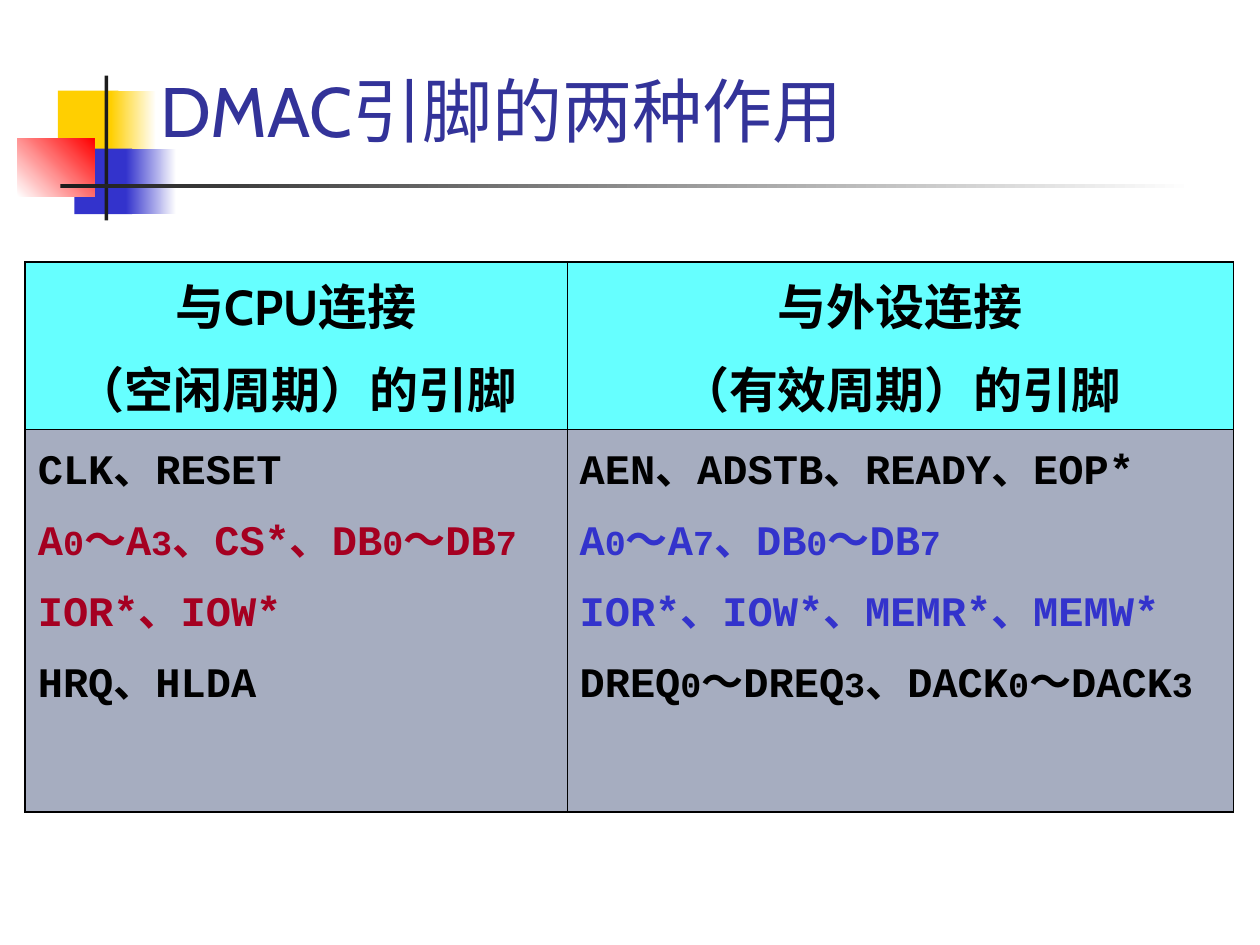
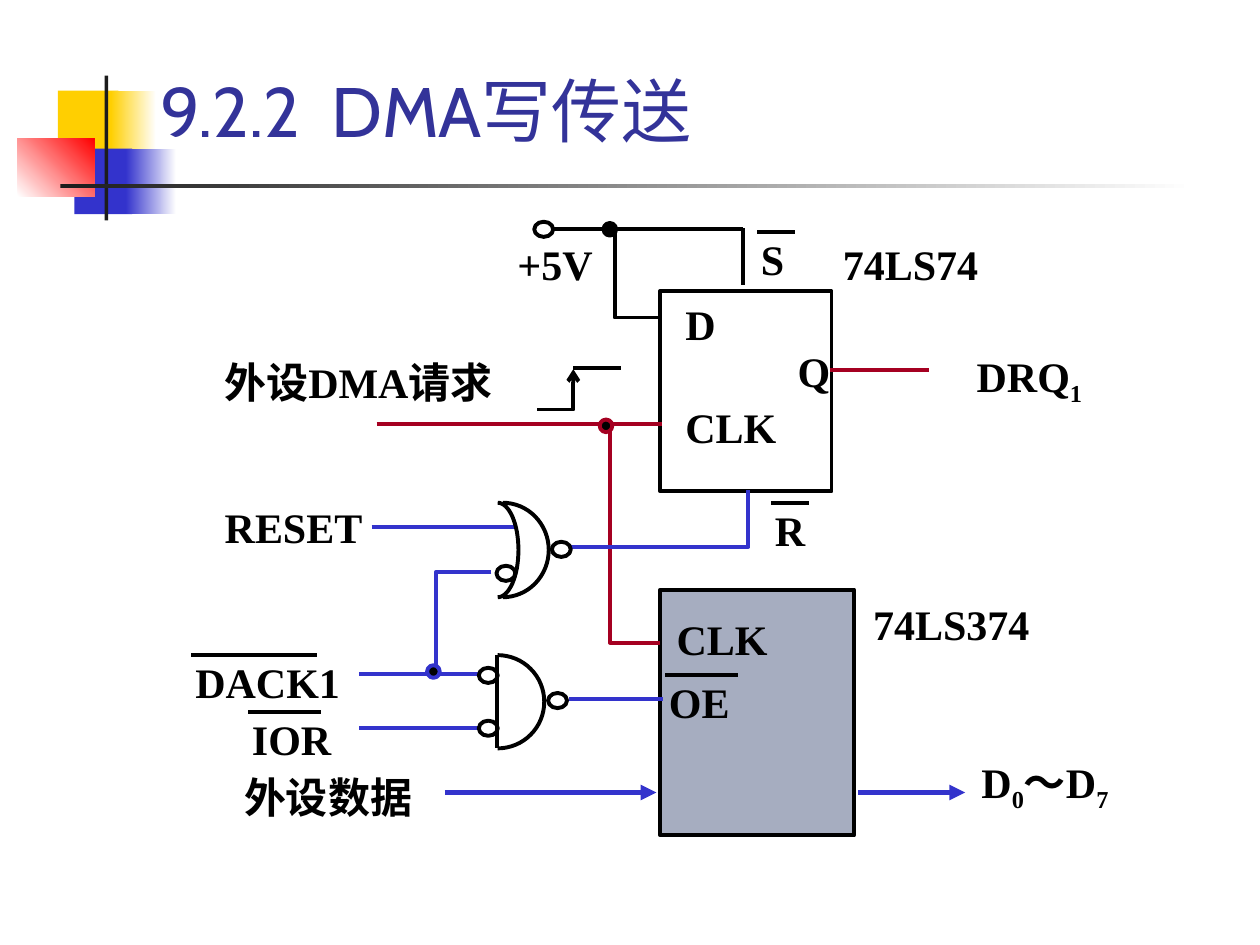
import math

import lxml.etree
import pptx
import pptx.dml.color
import pptx.enum.shapes
import pptx.enum.text
import pptx.oxml.ns
import pptx.util

RGB = pptx.dml.color.RGBColor
SHAPE = pptx.enum.shapes.MSO_SHAPE
ALIGN = pptx.enum.text.PP_ALIGN
ANCHOR = pptx.enum.text.MSO_ANCHOR

BLACK = RGB(0, 0, 0)
WHITE = RGB(255, 255, 255)
CHARCOAL = RGB(0x1C, 0x1C, 0x1C)
YELLOW = RGB(0xFF, 0xCF, 0x01)
BRIGHT_RED = RGB(0xFF, 0, 0)
BLUE = RGB(0x33, 0x33, 0xCC)
CRIMSON = RGB(0xA5, 0x00, 0x21)
TITLE_BLUE = RGB(0x33, 0x33, 0x99)
CYAN = RGB(0x66, 0xFF, 0xFF)
GREY_BLUE = RGB(0xA6, 0xAD, 0xC0)

TITLE_FONT = "Cabin"
CODE_FONT = "Courier New"
DIAGRAM_FONT = "Times New Roman"

# The slide is a grid of 100 columns by 75 rows of square cells
COLUMNS, ROWS = 100, 75
CELL = pptx.util.Inches(0.1)
WIRE_WIDTH = 2.25
BUBBLE_SIZE = (1.5, 1.2)
DOT_SIZE = (1, 1)


def grid(*cells):
    return [round(cell * CELL) for cell in cells]


def qn(tag):
    return pptx.oxml.ns.qn(tag)


# ---- Text ----
def write_text(frame, paragraphs, font, size, color=BLACK, bold=True, align=ALIGN.LEFT,
               gap=0, index_size=None, index_baseline=None):
    """Write paragraphs, each a text or (text, color); "_" makes the next character an index."""
    for number, entry in enumerate(paragraphs):
        text, text_color = entry if isinstance(entry, tuple) else (entry, color)
        paragraph = frame.paragraphs[0] if number == 0 else frame.add_paragraph()
        paragraph.alignment = align
        if number:
            paragraph.space_before = pptx.util.Pt(gap)

        first, *indexed = text.split("_")
        pieces = [(first, False)]
        for part in indexed:
            pieces += [(part[0], True), (part[1:], False)]
        for piece, is_index in pieces:
            if not piece:
                continue
            run = paragraph.add_run()
            run.text = piece
            run.font.name = font
            run.font.size = pptx.util.Pt(index_size if is_index and index_size else size)
            run.font.bold = bold
            run.font.color.rgb = text_color
            if is_index and index_baseline:
                run.font._element.set("baseline", str(index_baseline * 1000))


def add_label(slide, left, top, width, height, *paragraphs, align=ALIGN.LEFT, gap=0):
    frame = slide.shapes.add_textbox(*grid(left, top, width, height)).text_frame
    frame.word_wrap = True
    frame.margin_left = frame.margin_right = pptx.util.Inches(0.01)
    frame.margin_top = frame.margin_bottom = pptx.util.Inches(0.01)
    write_text(frame, paragraphs, DIAGRAM_FONT, 24, align=align, gap=gap, index_baseline=-25)


def add_active_low_label(slide, left, top, width, height, text, bar_length):
    add_label(slide, left, top, width, height, text)
    add_wire(slide, [(left - 0.2, top), (left - 0.2 + bar_length, top)])


# ---- Shapes and wires ----
def add_block(slide, left, top, width, height, kind=SHAPE.RECTANGLE, fill=None,
              fade=None, angle=0, outline=None):
    block = slide.shapes.add_shape(kind, *grid(left, top, width, height))
    block.shadow.inherit = False
    if fade:
        block.fill.gradient()
        block.fill.gradient_angle = angle
        for stop, color in zip(block.fill.gradient_stops, fade):
            stop.color.rgb = color
    elif fill is not None:
        block.fill.solid()
        block.fill.fore_color.rgb = fill
    else:
        block.fill.background()
    if outline is None:
        block.line.fill.background()
    else:
        block.line.color.rgb = outline
        block.line.width = pptx.util.Pt(WIRE_WIDTH)


def add_wire(slide, points, color=BLACK, width=WIRE_WIDTH, start=None, end=None):
    """Draw a straight connector for two points, an open outline for more."""
    corners = [grid(*point) for point in points]
    if len(corners) == 2:
        wire = slide.shapes.add_connector(
            pptx.enum.shapes.MSO_CONNECTOR.STRAIGHT, *corners[0], *corners[1])
    else:
        builder = slide.shapes.build_freeform(*corners[0])
        builder.add_line_segments(corners[1:], close=False)
        wire = builder.convert_to_shape()
        wire.fill.background()
    wire.line.color.rgb = color
    wire.line.width = pptx.util.Pt(width)
    properties = wire._element.spPr
    outline = properties.find(qn("a:ln"))
    for tag, arrowhead in (("a:headEnd", start), ("a:tailEnd", end)):
        if arrowhead:
            lxml.etree.SubElement(outline, qn(tag), type=arrowhead)
    lxml.etree.SubElement(properties, qn("a:effectLst"))


def add_half_ellipse(slide, left, top, radius_x, radius_y, steps=32):
    turns = [math.pi * step / steps for step in range(steps + 1)]
    add_wire(slide, [(left + radius_x * math.sin(turn),
                      top + radius_y * (1 - math.cos(turn))) for turn in turns])


def add_bubble(slide, left, top):
    add_block(slide, left, top, *BUBBLE_SIZE, kind=SHAPE.OVAL, outline=BLACK)


def add_junction(slide, left, top, color):
    add_block(slide, left, top, *DOT_SIZE, kind=SHAPE.OVAL, fill=BLACK, outline=color)


# ---- Shared slide frame ----
def add_titled_slide(deck, title):
    slide = deck.slides.add_slide(deck.slide_layouts[5])
    add_block(slide, 4.6, 7.2, 4.8, 5.2, fill=YELLOW)
    add_block(slide, 8.8, 7.2, 3.6, 5.2, fade=(YELLOW, WHITE))
    add_block(slide, 5.9, 11.8, 4.6, 5.2, fill=BLUE)
    add_block(slide, 10, 11.8, 4, 5.2, fade=(BLUE, WHITE))
    add_block(slide, 1.4, 11, 6.1, 4.6, fade=(WHITE, BRIGHT_RED), angle=45)
    add_block(slide, 8.3, 6, 0.3, 11.5, fill=CHARCOAL)
    add_block(slide, 4.8, 14.6, 90, 0.35, fade=(CHARCOAL, WHITE))

    heading = slide.shapes.title
    heading.left, heading.top, heading.width, heading.height = grid(11.7, 3.3, 85.2, 9.2)
    frame = heading.text_frame
    frame.auto_size = pptx.enum.text.MSO_AUTO_SIZE.NONE
    frame.vertical_anchor = ANCHOR.BOTTOM
    write_text(frame, [title], TITLE_FONT, 40, color=TITLE_BLUE, bold=False)
    return slide


# ---- Table ----
def set_borders(cell, **widths):
    properties = cell._tc.get_or_add_tcPr()
    for side in "LRTB":
        line = lxml.etree.SubElement(properties, qn("a:ln" + side),
                                     w=str(pptx.util.Pt(widths[side])))
        solid = lxml.etree.SubElement(line, qn("a:solidFill"))
        lxml.etree.SubElement(solid, qn("a:srgbClr"), val=str(BLACK))


def add_pin_table(slide, column_widths, row_heights, rows):
    outer, inner = 1.08, 0.45
    frame = slide.shapes.add_table(
        len(row_heights), len(column_widths),
        *grid(2, 20.8, sum(column_widths), sum(row_heights)))
    table = frame.table
    table.first_row = table.horz_banding = False
    for column, width in zip(table.columns, grid(*column_widths)):
        column.width = width
    for row, height in zip(table.rows, grid(*row_heights)):
        row.height = height

    last_row, last_column = len(row_heights) - 1, len(column_widths) - 1
    for r, contents in enumerate(rows):
        for c, paragraphs in enumerate(contents):
            cell = table.cell(r, c)
            set_borders(cell, L=outer if c == 0 else inner,
                        R=outer if c == last_column else inner,
                        T=outer if r == 0 else inner,
                        B=outer if r == last_row else inner)
            cell.fill.solid()
            cell.fill.fore_color.rgb = CYAN if r == 0 else GREY_BLUE
            if r == 0:
                write_text(cell.text_frame, paragraphs, TITLE_FONT, 28,
                           align=ALIGN.CENTER, gap=7)
            else:
                write_text(cell.text_frame, paragraphs, CODE_FONT, 24,
                           align=ALIGN.JUSTIFY, gap=5.5, index_size=20)


def build_pin_slide(deck):
    slide = add_titled_slide(deck, "DMAC引脚的两种作用")
    headers = [["与CPU连接", "（空闲周期）的引脚"],
               ["与外设连接", "（有效周期）的引脚"]]
    idle_pins = ["CLK、RESET",
                 ("A_0～A_3、CS*、DB_0～DB_7", CRIMSON),
                 ("IOR*、IOW*", CRIMSON),
                 "HRQ、HLDA"]
    active_pins = ["AEN、ADSTB、READY、EOP*",
                   ("A_0～A_7、DB_0～DB_7", BLUE),
                   ("IOR*、IOW*、MEMR*、MEMW*", BLUE),
                   "DREQ_0～DREQ_3、DACK_0～DACK_3"]
    add_pin_table(slide, (43, 52.9), (13.3, 30.3), [headers, [idle_pins, active_pins]])


# ---- Circuit ----
def add_circuit_wires(slide):
    # Supply to the D and S inputs
    add_wire(slide, [(43.8, 18.2), (59, 18.2)])
    add_wire(slide, [(59, 18.1), (59, 22.6)])
    add_wire(slide, [(48.8, 18.2), (48.8, 25.2), (52.5, 25.2)])
    # Request clock, and its branch to the latch
    add_wire(slide, [(29.9, 33.65), (52.5, 33.65)], CRIMSON)
    add_wire(slide, [(48.4, 33.8), (48.4, 51), (52.4, 51)], CRIMSON)
    add_wire(slide, [(65.9, 29.4), (73.7, 29.4)], CRIMSON)
    # Reset path and output enable
    add_wire(slide, [(45.2, 43.4), (59.4, 43.4), (59.4, 38.9)], BLUE)
    add_wire(slide, [(29.5, 41.8), (41, 41.8)], BLUE)
    add_wire(slide, [(39, 45.4), (34.6, 45.4), (34.6, 53.5)], BLUE)
    for level in (53.5, 57.75):
        add_wire(slide, [(28.5, level), (38.2, level)], BLUE)
    add_wire(slide, [(45.2, 55.5), (52.6, 55.5)], BLUE)
    # Data in and out
    for start, end in ((35.3, 52.1), (68.1, 76.6)):
        add_wire(slide, [(start, 62.9), (end, 62.9)], BLUE, width=3, end="triangle")
    # Rising edge
    add_wire(slide, [(45.5, 29.3), (45.5, 32.5), (42.6, 32.5)], start="arrow")
    add_wire(slide, [(45.5, 29.2), (49.3, 29.2)])


def add_circuit_gates(slide):
    # OR gate: shallow back curve, deep front curve
    add_half_ellipse(slide, 39.5, 39.9, 1.65, 3.75)
    add_half_ellipse(slide, 39.9, 39.9, 3.65, 3.75)
    # AND gate: flat back, round front
    add_wire(slide, [(39.45, 52), (39.45, 59.4)])
    add_half_ellipse(slide, 39.5, 52, 3.7, 3.7)
    for left, top in ((43.8, 43), (39.4, 44.9), (43.5, 55), (38, 53), (38, 57.2),
                      (42.4, 17.6)):
        add_bubble(slide, left, top)
    add_junction(slide, 47.6, 33.3, CRIMSON)
    add_junction(slide, 47.9, 17.7, BLACK)
    add_junction(slide, 33.9, 52.8, BLUE)


def add_circuit_labels(slide):
    add_label(slide, 53.6, 48.6, 10.8, 5.6, "CLK")
    add_label(slide, 54.3, 23.6, 10.8, 15.1, "D", "CLK", gap=30)
    add_label(slide, 57.3, 27.3, 8.7, 6.7, "Q", align=ALIGN.RIGHT)
    add_label(slide, 77.8, 59.9, 16.4, 5.5, "D_0～D_7")
    add_label(slide, 75, 27.7, 13.4, 6.1, "DRQ_1", align=ALIGN.CENTER)
    add_label(slide, 39.1, 18.8, 9.9, 6.4, "+5V", align=ALIGN.CENTER)
    add_label(slide, 16.6, 39.7, 13.4, 6.1, "RESET", align=ALIGN.CENTER)
    add_label(slide, 15.8, 61.1, 17, 6.5, "外设数据", align=ALIGN.RIGHT)
    add_label(slide, 17.7, 28.2, 26.2, 6.5, "外设DMA请求")
    add_label(slide, 69.2, 47.4, 14.3, 6.5, "74LS374")
    add_label(slide, 66.8, 18.8, 14.3, 6.5, "74LS74")
    add_active_low_label(slide, 15.4, 52, 12.6, 5.4, "DACK1", 10)
    add_active_low_label(slide, 19.9, 56.5, 12.6, 5.4, "IOR", 5.8)
    add_active_low_label(slide, 53, 53.6, 12.6, 5.4, "OE", 5.8)
    add_active_low_label(slide, 61.4, 39.95, 6.7, 6.2, "R", 3)
    add_active_low_label(slide, 60.3, 18.4, 6.7, 6.2, "S", 3)


def build_write_slide(deck):
    slide = add_titled_slide(deck, "9.2.2  DMA写传送")
    # Latch and flip-flop
    add_block(slide, 52.4, 46.8, 15.4, 19.5, fill=GREY_BLUE, outline=BLACK)
    add_block(slide, 52.4, 23.1, 13.6, 15.9, outline=BLACK)
    add_circuit_wires(slide)
    add_circuit_gates(slide)
    add_circuit_labels(slide)


def main():
    deck = pptx.Presentation()
    deck.slide_width, deck.slide_height = grid(COLUMNS, ROWS)
    build_pin_slide(deck)
    build_write_slide(deck)
    deck.save("out.pptx")


if __name__ == "__main__":
    main()
